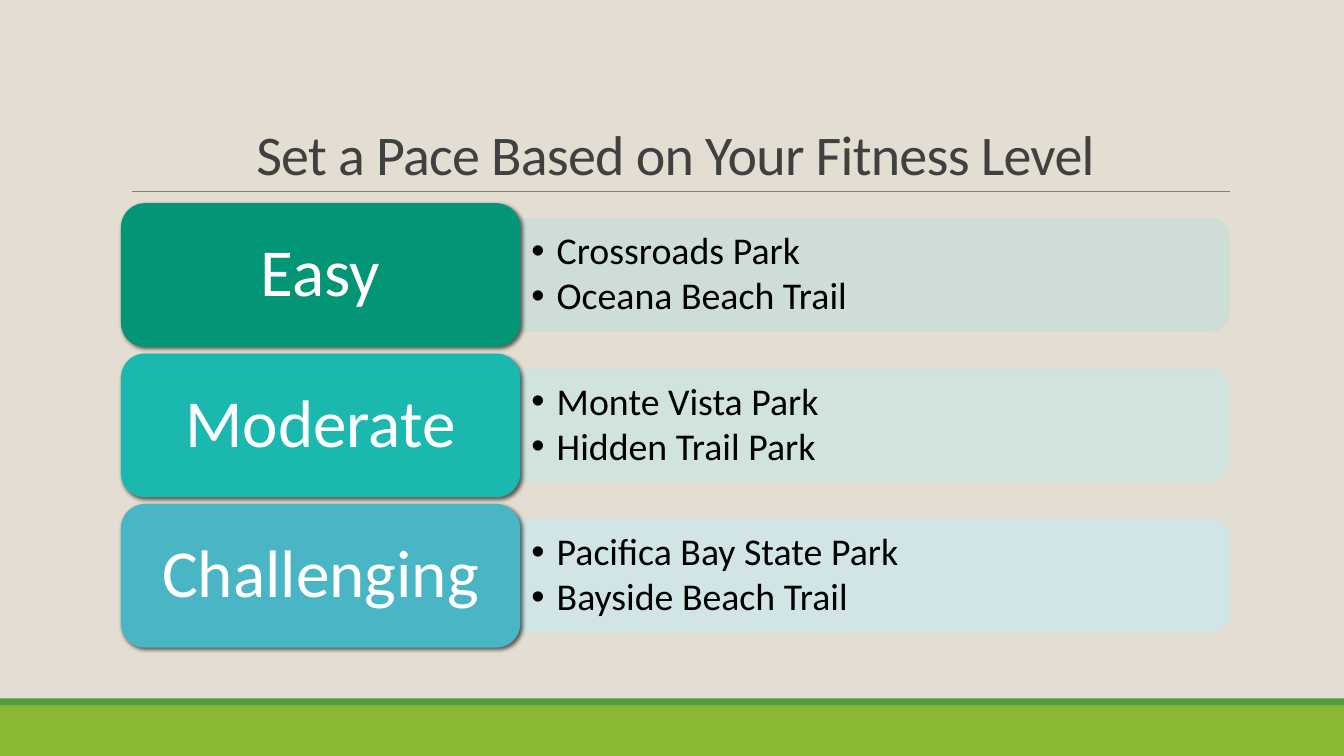
from dataclasses import dataclass

from lxml import etree
from pptx import Presentation
from pptx import util as u
from pptx.dml.color import RGBColor
from pptx.enum import shapes, text
from pptx.oxml import ns

FONT = "Calibri"
CARD_X, CARD_Y, CARD_W, CARD_H = 3.05, 5.12, 10.06, 3.62
BAR_W, BAR_H = 17.88, 2.87
LIST_W, LIST_H = 17.73, 2.59
PITCH = 3.79


@dataclass
class Level:
    name: str
    fill: str
    tint: str
    slot: int
    trails: tuple[str, str]


@dataclass
class Band:
    top: float
    height: float
    fill: str


LEVELS = [
    Level("Easy", "029676", "CCDDD6", 1, ("Crossroads Park", "Oceana Beach Trail")),
    Level("Moderate", "1BB8B0", "CEE4E1", 2, ("Monte Vista Park", "Hidden Trail Park")),
    Level("Challenging", "4AB5C4", "D0E6EA", 4,
          ("Pacifica Bay State Park", "Bayside Beach Trail")),
]
BANDS = [Band(17.78, 1.27, "8AB833"), Band(17.6, 0.18, "549E39")]


def put(obj, **values) -> None:
    for key, value in values.items():
        setattr(obj, key, value)


def add(parent, tag: str, **attrs: str):
    return etree.SubElement(parent, ns.qn(tag), attrs)


def paint(fmt, color: str) -> None:
    """Give a fill or line format a solid colour."""
    fmt.solid()
    fmt.fore_color.rgb = RGBColor.from_string(color)


def place(shape, x: float, y: float, w: float, h: float) -> None:
    put(shape, left=u.Cm(x), top=u.Cm(y), width=u.Cm(w), height=u.Cm(h))


def draw(slide, kind, x: float, y: float, w: float, h: float, color: str):
    shape = slide.shapes.add_shape(kind, u.Cm(x), u.Cm(y), u.Cm(w), u.Cm(h))
    shape.shadow.inherit = False
    paint(shape.fill, color)
    shape.line.fill.background()
    return shape


def frame(shape, anchor, side: float, edge: float):
    box = shape.text_frame
    put(box, word_wrap=True, auto_size=text.MSO_AUTO_SIZE.NONE, vertical_anchor=anchor,
        margin_left=u.Cm(side), margin_right=u.Cm(side),
        margin_top=u.Cm(edge), margin_bottom=u.Cm(edge))
    return box


def write(para, words: str, size: int, color: str, align, spacing: float = 0.9):
    put(para, alignment=align, line_spacing=spacing, space_before=u.Pt(0))
    run = para.add_run()
    run.text = words
    put(run.font, name=FONT, size=u.Pt(size), bold=False)
    paint(run.font.fill, color)
    return run


def cast(shape) -> None:
    """Add a soft shadow falling to the lower right."""
    effects = shape._element.spPr.find(ns.qn("a:effectLst"))
    outer = add(effects, "a:outerShdw", blurRad=str(u.Pt(3)), dist=str(u.Pt(2)),
                dir="2700000", algn="ctr", rotWithShape="0")
    add(add(outer, "a:srgbClr", val="000000"), "a:alpha", val="60000")


def bullet(para) -> None:
    props = para._p.get_or_add_pPr()
    props.set("marL", str(u.Cm(0.64)))
    props.set("indent", str(u.Cm(-0.64)))
    add(props, "a:buFont", typeface="Arial")
    add(props, "a:buChar", char="•")


def draw_title(slide) -> None:
    title = slide.shapes.title
    place(title, 3.05, 0.79, 27.94, 4.04)
    box = frame(title, text.MSO_ANCHOR.BOTTOM, 0.25, 0.13)
    run = write(box.paragraphs[0], "Set a Pace Based on Your Fitness Level", 40,
                "404040", text.PP_ALIGN.CENTER, 0.85)
    run.font._element.set("spc", "-50")


def draw_rule(slide) -> None:
    y = u.Cm(4.83)
    rule = slide.shapes.add_connector(
        shapes.MSO_CONNECTOR.STRAIGHT, u.Cm(3.33), y, u.Cm(31), y)
    paint(rule.line.fill, "808080")
    rule.line.width = u.Pt(0.5)
    add(rule._element.spPr, "a:effectLst")


def draw_level(slide, level: Level, row: int) -> None:
    top = CARD_Y + row * PITCH
    mid = top + CARD_H / 2
    edge = CARD_X + CARD_W

    bar = draw(slide, shapes.MSO_SHAPE.ROUND_2_SAME_RECTANGLE,
               edge + (BAR_W - BAR_H) / 2, mid - BAR_W / 2, BAR_H, BAR_W, level.tint)
    bar.rotation = 90
    tint = bar._element.spPr.find(ns.qn("a:solidFill"))[0]
    add(tint, "a:alpha", val="90000")

    body = slide.placeholders[level.slot]
    place(body, edge, mid - LIST_H / 2, LIST_W, LIST_H)
    slide.shapes._spTree.append(body._element)
    box = frame(body, text.MSO_ANCHOR.MIDDLE, 0.28, 0.15)
    for i, trail in enumerate(level.trails):
        para = box.add_paragraph() if i else box.paragraphs[0]
        bullet(para)
        write(para, trail, 27, "000000", text.PP_ALIGN.LEFT)
        para.space_after = u.Pt(3)

    card = draw(slide, shapes.MSO_SHAPE.ROUNDED_RECTANGLE,
                CARD_X, top, CARD_W, CARD_H, level.fill)
    cast(card)
    box = frame(card, text.MSO_ANCHOR.MIDDLE, 0.69, 0.43)
    write(box.paragraphs[0], level.name, 48, "FFFFFF", text.PP_ALIGN.CENTER)


def main() -> None:
    deck = Presentation()
    put(deck, slide_width=u.Cm(33.87), slide_height=u.Cm(19.05))
    slide = deck.slides.add_slide(deck.slide_layouts.get_by_name("Comparison"))
    paint(slide.background.fill, "E3DED1")
    spare = slide.placeholders[3]._element
    spare.getparent().remove(spare)
    for band in BANDS:
        draw(slide, shapes.MSO_SHAPE.RECTANGLE, 0, band.top, 33.87, band.height, band.fill)
    draw_rule(slide)
    draw_title(slide)
    for row, level in enumerate(LEVELS):
        draw_level(slide, level, row)
    deck.save("out.pptx")


if __name__ == "__main__":
    main()
